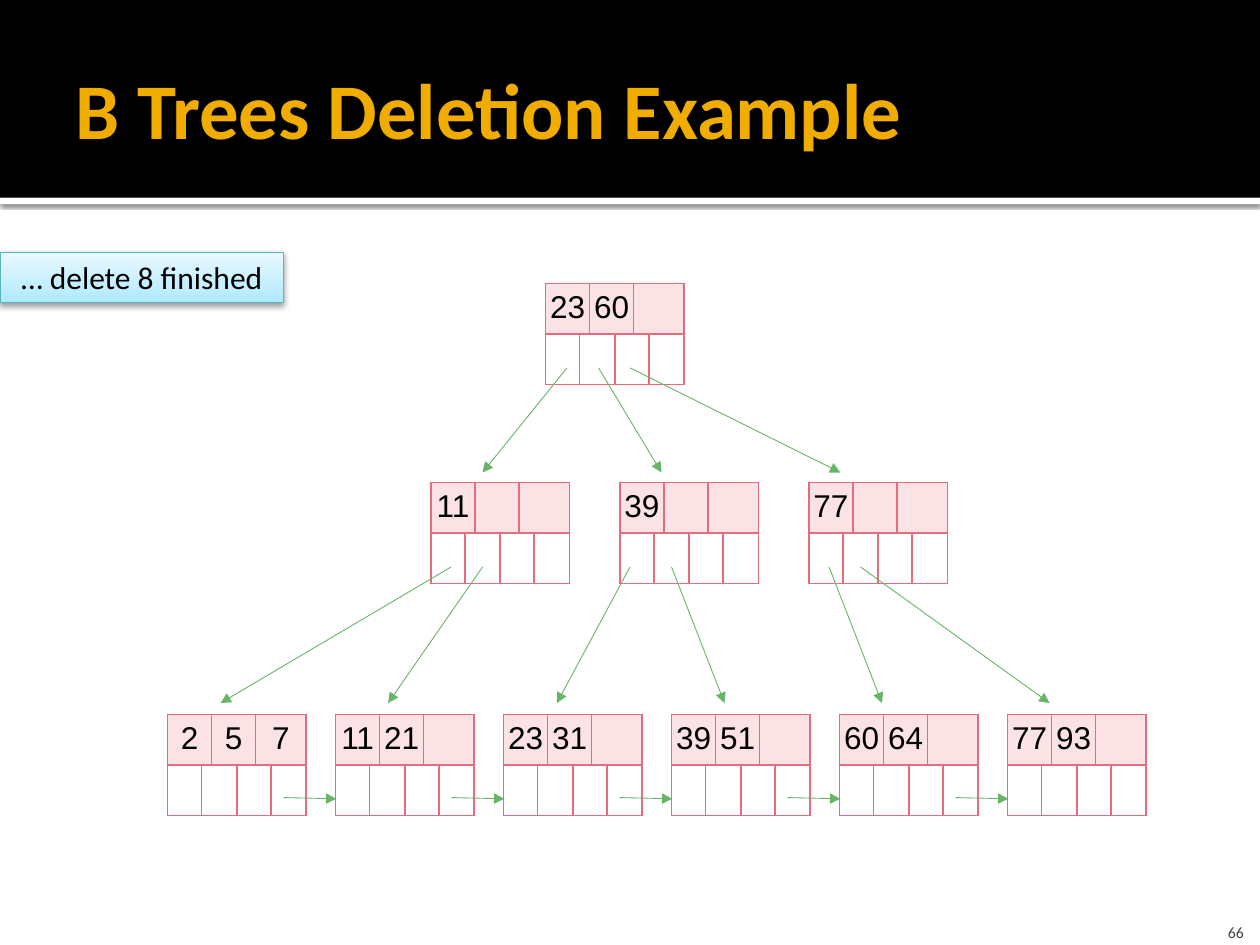
from copy import deepcopy
from dataclasses import dataclass

from lxml import etree
from pptx import Presentation
from pptx.dml.color import RGBColor
from pptx.enum.shapes import MSO_CONNECTOR, MSO_SHAPE
from pptx.enum.text import MSO_ANCHOR, PP_ALIGN
from pptx.oxml.ns import qn
from pptx.util import Inches, Pt

RECT = MSO_SHAPE.RECTANGLE
STRAIGHT = MSO_CONNECTOR.STRAIGHT
LEFT, CENTER, RIGHT = PP_ALIGN.LEFT, PP_ALIGN.CENTER, PP_ALIGN.RIGHT
TOP, MIDDLE, BOTTOM = MSO_ANCHOR.TOP, MSO_ANCHOR.MIDDLE, MSO_ANCHOR.BOTTOM


@dataclass(frozen=True)
class Theme:
    black: str = "000000"
    white: str = "FFFFFF"
    title: str = "F0AD00"
    number: str = "454545"
    key_fill: str = "FAE2E5"
    border: str = "E66C7D"
    arrow: str = "67B569"
    note_line: str = "5BB3CA"
    note_stops: tuple = ((0, "ADE9FF"), (35, "C5EFFF"), (100, "E9F9FF"))
    heading_font: str = "Calibri"
    key_font: str = "Arial"
    title_size: float = 45
    body_size: float = 18
    number_size: float = 9
    thin: float = 0.5
    cell_line: float = 1


class Deck:
    """Draws themed elements on the current slide."""

    columns = (0.27, 0.08, 0.2, 0.15, 0.12, 0.28)
    row_height = 0.4
    key_spans = ((0, 1), (2, 3), (4, 5))
    pointer_spans = ((1, 2), (3, 4))

    def __init__(self, prs, theme):
        self.theme = theme
        self.slide = prs.slides.add_slide(prs.slide_layouts[6])

    def add_run(self, tf, text, color, size, font, align=LEFT, bold=False):
        p = tf.paragraphs[0]
        p.alignment = align
        r = p.add_run()
        r.text = text
        for name, value in {"name": font, "size": Pt(size), "bold": bold}.items():
            setattr(r.font, name, value)
        r.font.color.rgb = RGBColor.from_string(color)

    def text(self, box, text, color, size, anchor, margins, **style):
        sp = self.slide.shapes.add_textbox(*map(Inches, box))
        tf = sp.text_frame
        tf.word_wrap = True
        tf.vertical_anchor = anchor
        for side, value in zip(("left", "top", "right", "bottom"), margins):
            setattr(tf, f"margin_{side}", Inches(value))
        self.add_run(tf, text, color, size, self.theme.heading_font, **style)

    def shadow(self, sp, opacity, blur, dist):
        effects = sp._element.spPr.find(qn("a:effectLst"))
        outer = etree.SubElement(effects, qn("a:outerShdw"), blurRad=str(Pt(blur)),
                                 dist=str(Pt(dist)), dir="5400000", rotWithShape="0")
        color = etree.SubElement(outer, qn("a:srgbClr"), val=self.theme.black)
        etree.SubElement(color, qn("a:alpha"), val=str(opacity * 1000))

    def rect(self, box, fill=None):
        sp = self.slide.shapes.add_shape(RECT, *map(Inches, box))
        sp.shadow.inherit = False
        sp.line.fill.background()
        if fill:
            sp.fill.solid()
            sp.fill.fore_color.rgb = RGBColor.from_string(fill)
        return sp

    def note(self, box, text):
        t = self.theme
        sp = self.rect(box)
        sp.fill.gradient()
        sp.fill.gradient_angle = 90
        stops = sp._element.spPr.find(".//" + qn("a:gsLst"))
        stops.append(deepcopy(stops[-1]))
        for stop, (position, color) in zip(sp.fill.gradient_stops, t.note_stops):
            stop.position = position / 100
            stop.color.rgb = RGBColor.from_string(color)
        sp.line.color.rgb = RGBColor.from_string(t.note_line)
        sp.line.width = Pt(t.thin)
        self.shadow(sp, 38, 3.5, 2)
        tf = sp.text_frame
        tf.word_wrap = True
        tf.vertical_anchor = TOP
        self.add_run(tf, text, t.black, t.body_size, t.heading_font, CENTER)

    def borders(self, cell):
        tcPr = cell._tc.get_or_add_tcPr()
        for i, side in enumerate(("lnL", "lnR", "lnT", "lnB")):
            ln = etree.Element(qn(f"a:{side}"), w=str(Pt(self.theme.cell_line)))
            fill = etree.SubElement(ln, qn("a:solidFill"))
            etree.SubElement(fill, qn("a:srgbClr"), val=self.theme.border)
            tcPr.insert(i, ln)

    def node(self, left, top, keys):
        t = self.theme
        frame = self.slide.shapes.add_table(
            2, len(self.columns), Inches(left), Inches(top),
            Inches(sum(self.columns)), Inches(2 * self.row_height))
        table = frame.table
        table.first_row = table.horz_banding = False
        for column, width in zip(table.columns, self.columns):
            column.width = Inches(width)
        for row, spans in enumerate((self.key_spans, self.pointer_spans)):
            table.rows[row].height = Inches(self.row_height)
            for first, last in spans:
                table.cell(row, first).merge(table.cell(row, last))
            for col in range(len(self.columns)):
                cell = table.cell(row, col)
                if row == 0:
                    cell.fill.solid()
                    cell.fill.fore_color.rgb = RGBColor.from_string(t.key_fill)
                else:
                    cell.fill.background()
                self.borders(cell)
        for key, (col, _) in zip(keys, self.key_spans):
            cell = table.cell(0, col)
            cell.margin_left = cell.margin_right = Inches(0.02)
            self.add_run(cell.text_frame, str(key), t.black, t.body_size,
                         t.key_font, CENTER)

    def arrow(self, x1, y1, x2, y2):
        cxn = self.slide.shapes.add_connector(STRAIGHT, *map(Inches, (x1, y1, x2, y2)))
        cxn.line.color.rgb = RGBColor.from_string(self.theme.arrow)
        cxn.line.width = Pt(self.theme.thin)
        spPr = cxn._element.spPr
        etree.SubElement(spPr.find(qn("a:ln")), qn("a:tailEnd"), type="triangle")
        etree.SubElement(spPr, qn("a:effectLst"))


prs = Presentation()
prs.slide_width, prs.slide_height = Inches(10), Inches(7.5)
theme = Theme()
deck = Deck(prs, theme)

rule = deck.rect((0, 1.57, 10, 0.05), theme.white)
deck.shadow(rule, 60, 2.5, 0.8)
deck.rect((0, 0, 10, 1.57), theme.black)
deck.text((0.5, 0.17, 9, 1.37), "B Trees Deletion Example", theme.title,
          theme.title_size, MIDDLE, (0.1, 0.05, 0.05, 0.05), bold=True)
deck.note((0, 2, 2.25, 0.4), "… delete 8 finished")

leaf_gap = 4 / 3
levels = (
    (4.33, 2.25, 0, [(23, 60)]),
    (3.42, 3.83, 1.5, [(11,), (39,), (77,)]),
    (1.33, 5.67, leaf_gap,
     [(2, 5, 7), (11, 21), (23, 31), (39, 51), (60, 64), (77, 93)]),
)
for left, top, gap, nodes in levels:
    for i, keys in enumerate(nodes):
        deck.node(left + i * gap, top, keys)

child_links = (
    (2.92, 3.75, ((4.5, 3.83), (4.75, 5.25), (5, 6.67))),
    (4.5, 5.58, ((3.58, 1.75), (3.83, 3.08), (5, 4.42),
                 (5.33, 5.75), (6.58, 7), (6.83, 8.33))),
)
for y1, y2, links in child_links:
    for x1, x2 in links:
        deck.arrow(x1, y1, x2, y2)
for i in range(5):
    deck.arrow(2.25 + i * leaf_gap, 6.33, 2.67 + i * leaf_gap, 6.34)

deck.text((9.17, 7.17, 0.8, 0.3), "66", theme.number, theme.number_size,
          BOTTOM, (0.1, 0.05, 0.1, 0), align=RIGHT)
prs.save("out.pptx")
